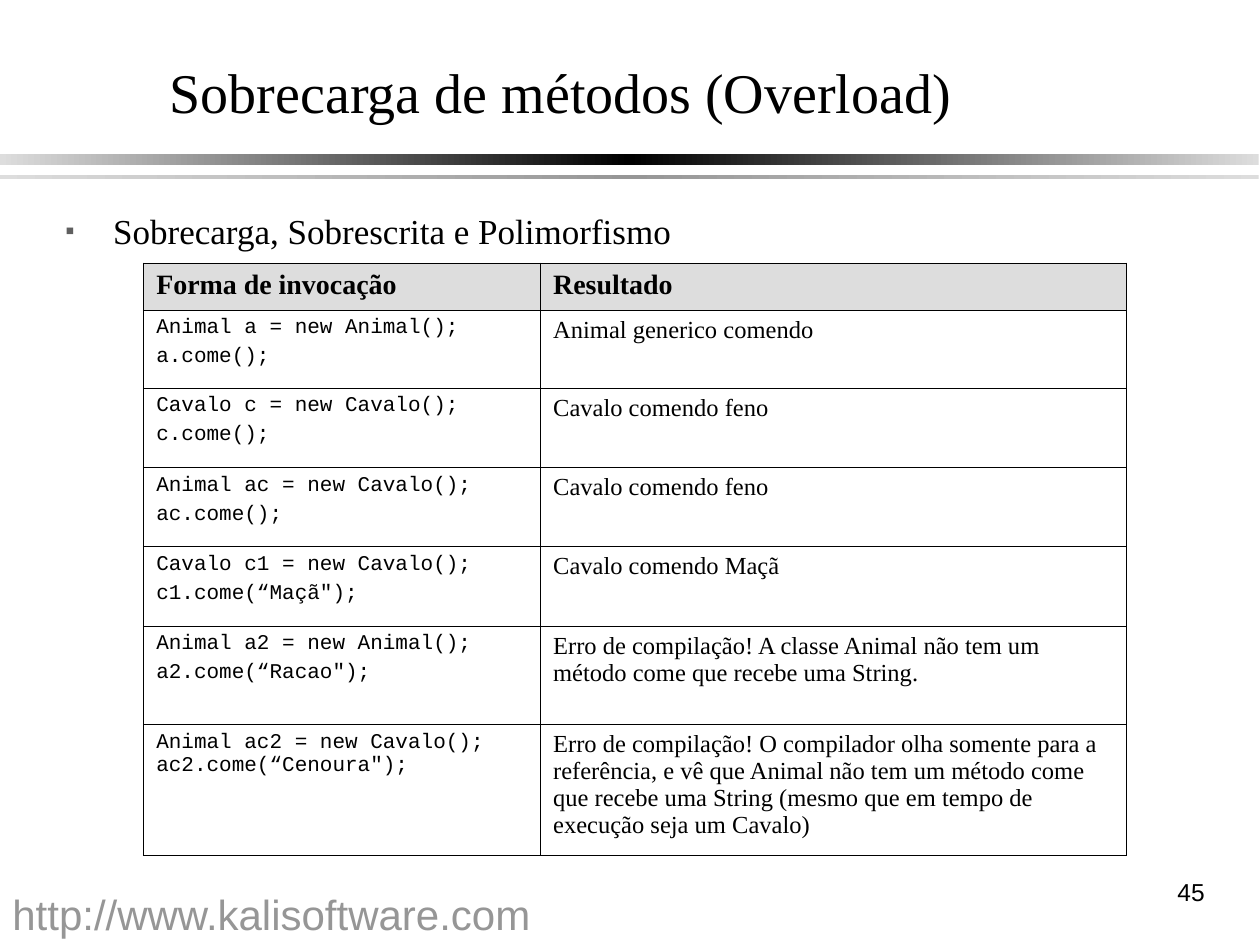
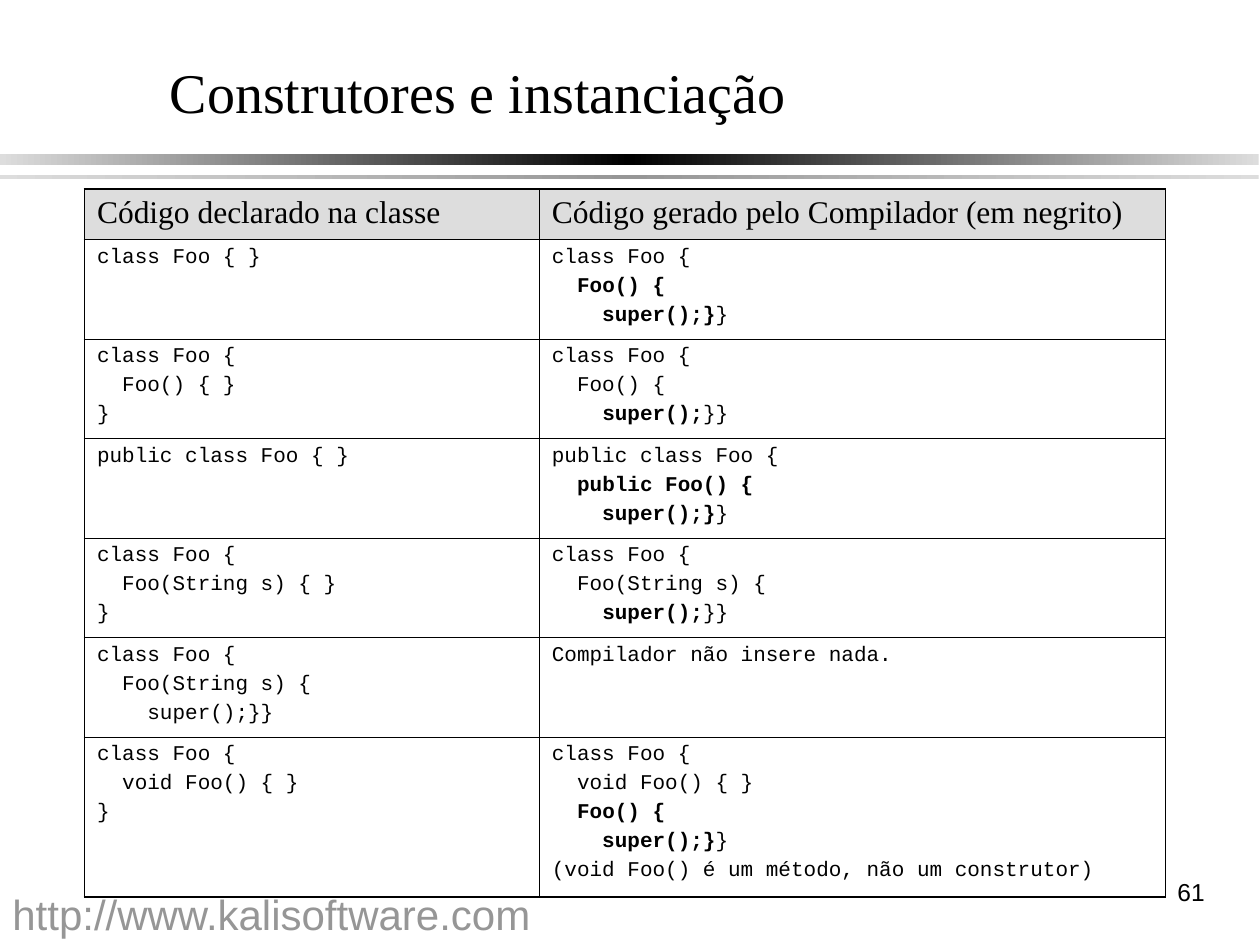
import copy
from dataclasses import dataclass

import pptx
import pptx.dml.color
import pptx.enum.shapes
import pptx.enum.text
import pptx.oxml
import pptx.oxml.ns
import pptx.util

Inches = pptx.util.Inches
Pt = pptx.util.Pt
qn = pptx.oxml.ns.qn


@dataclass(frozen=True)
class Theme:
    ink: str = "000000"
    pale: str = "DDDDDD"
    gray: str = "969696"
    bullet: str = "5F5F5F"
    serif: str = "Times New Roman"
    sans: str = "Arial"
    mono: str = "Courier New"
    title_size: float = 32
    footer_size: float = 24
    topic_size: float = 20
    number_size: float = 14
    result_size: float = 14
    code_size: float = 12
    invocation_header_size: float = 16
    constructor_header_size: float = 18
    outer_line: float = 1.08
    inner_line: float = 0.45


THEME = Theme()


@dataclass(frozen=True)
class TextStyle:
    font: str
    size: float
    color: str = THEME.ink
    bold: bool = False


TITLE = TextStyle(THEME.serif, THEME.title_size)
TOPIC = TextStyle(THEME.serif, THEME.topic_size)
FOOTER = TextStyle(THEME.sans, THEME.footer_size, THEME.gray)
NUMBER = TextStyle(THEME.sans, THEME.number_size)
CODE = TextStyle(THEME.mono, THEME.code_size)
RESULT = TextStyle(THEME.serif, THEME.result_size)
INVOCATION_HEADER = TextStyle(THEME.serif, THEME.invocation_header_size, bold=True)
CONSTRUCTOR_HEADER = TextStyle(THEME.serif, THEME.constructor_header_size)

INVOCATIONS = [
    ("Forma de invocação", "Resultado"),
    ("Animal a = new Animal();\na.come();", "Animal generico comendo"),
    ("Cavalo c = new Cavalo();\nc.come();", "Cavalo comendo feno"),
    ("Animal ac = new Cavalo();\nac.come();", "Cavalo comendo feno"),
    ('Cavalo c1 = new Cavalo();\nc1.come(“Maçã");', "Cavalo comendo Maçã"),
    ('Animal a2 = new Animal();\na2.come(“Racao");',
     "Erro de compilação! A classe Animal não tem um método come que recebe uma String."),
    ('Animal ac2 = new Cavalo(); ac2.come(“Cenoura");',
     "Erro de compilação! O compilador olha somente para a referência, e vê que Animal "
     "não tem um método come que recebe uma String (mesmo que em tempo de execução "
     "seja um Cavalo)"),
]

CONSTRUCTORS = [
    ("Código declarado na classe", "Código gerado pelo Compilador (em negrito)"),
    ("class Foo { }", "class Foo {\n  *Foo() {*\n*    super();}*}"),
    ("class Foo {\n  Foo() { }\n}", "class Foo {\n  Foo() {\n    *super();*}}"),
    ("public class Foo { }", "public class Foo {\n  *public Foo() {*\n*    super();}*}"),
    ("class Foo {\n  Foo(String s) { }\n}",
     "class Foo {\n  Foo(String s) {\n    *super();*}}"),
    ("class Foo {\n  Foo(String s) {\n    super();}}", "Compilador não insere nada."),
    ("class Foo {\n  void Foo() { }\n}",
     "class Foo {\n  void Foo() { }\n  *Foo() {*\n*    super();}*}\n"
     "(void Foo() é um método, não um construtor)"),
]


def rgb(color):
    return pptx.dml.color.RGBColor.from_string(color)


def drawing_xml(body):
    return pptx.oxml.parse_xml(f'<a:root {pptx.oxml.ns.nsdecls("a")}>{body}</a:root>')[0]


def write_text(frame, text, style, gap=3):
    for index, line in enumerate(text.split("\n")):
        para = frame.add_paragraph() if index else frame.paragraphs[0]
        if index:
            para.space_before = Pt(gap)
        for order, piece in enumerate(line.split("*")):
            if piece:
                span = para.add_run()
                span.text = piece
                span.font.name = style.font
                span.font.size = Pt(style.size)
                span.font.bold = style.bold or order % 2 == 1
                span.font.color.rgb = rgb(style.color)
    return frame.paragraphs[0]


def add_text(page, area, text, style, anchor=pptx.enum.text.MSO_ANCHOR.TOP):
    frame = page.shapes.add_textbox(*map(Inches, area)).text_frame
    frame.word_wrap = True
    frame.vertical_anchor = anchor
    return write_text(frame, text, style)


def add_band(page, area, middle):
    band = page.shapes.add_shape(pptx.enum.shapes.MSO_SHAPE.RECTANGLE, *map(Inches, area))
    band.shadow.inherit = False
    band.line.fill.background()
    band.fill.gradient()
    band.fill.gradient_angle = 180
    stop_list = next(band.element.iter(qn("a:gsLst")))
    stop_list.append(copy.deepcopy(stop_list[0]))
    colors = (THEME.pale, middle, THEME.pale)
    for index, (stop, color) in enumerate(zip(band.fill.gradient_stops, colors)):
        stop.position = index / 2
        stop.color.rgb = rgb(color)


def add_frame(page, title, number):
    middle = pptx.enum.text.MSO_ANCHOR.MIDDLE
    add_band(page, (0, 1.22, 9.99, 0.09), THEME.ink)
    add_band(page, (0, 1.39, 9.99, 0.03), THEME.gray)
    add_text(page, (0, 7, 4.61, 0.5), "http://www.kalisoftware.com", FOOTER)
    heading = add_text(page, (1.25, 0.37, 8.5, 0.71), title, TITLE, middle)
    fill = next(heading._p.iter(qn("a:solidFill")))
    fill.addnext(drawing_xml(
        '<a:effectLst><a:outerShdw dist="17961" dir="2700000">'
        f'<a:srgbClr val="{THEME.pale}"/></a:outerShdw></a:effectLst>'))
    para = add_text(page, (7.58, 6.83, 2.08, 0.5), str(number), NUMBER, middle)
    para.alignment = pptx.enum.text.PP_ALIGN.RIGHT


def add_topic(page, area, text):
    para = add_text(page, area, text, TOPIC)
    para.line_spacing = 1.1
    properties = para._p.get_or_add_pPr()
    properties.set("marL", str(Inches(0.38)))
    properties.set("indent", str(-Inches(0.38)))
    for body in (f'<a:buClr><a:srgbClr val="{THEME.bullet}"/></a:buClr>',
                 '<a:buSzPct val="75000"/>',
                 f'<a:buFont typeface="{THEME.sans}"/>',
                 '<a:buChar char="▪"/>'):
        properties.append(drawing_xml(body))


def draw_borders(cell, outer_sides):
    properties = cell._tc.get_or_add_tcPr()
    for index, side in enumerate("LRTB"):
        width = THEME.outer_line if side in outer_sides else THEME.inner_line
        properties.insert(index, drawing_xml(
            f'<a:ln{side} w="{Pt(width)}"><a:solidFill><a:srgbClr val="{THEME.ink}"/>'
            f'</a:solidFill></a:ln{side}>'))


def add_code_table(page, corner, widths, heights, rows, header, right_style):
    area = (*corner, sum(widths), sum(heights))
    table = page.shapes.add_table(len(rows), len(widths), *map(Inches, area)).table
    table.first_row = table.horz_banding = False
    for column, width in zip(table.columns, widths):
        column.width = Inches(width)
    for row, height in zip(table.rows, heights):
        row.height = Inches(height)
    for row_index, texts in enumerate(rows):
        for column_index, text in enumerate(texts):
            cell = table.cell(row_index, column_index)
            if row_index == 0:
                cell.fill.solid()
                cell.fill.fore_color.rgb = rgb(THEME.pale)
                style = header
            else:
                cell.fill.background()
                style = right_style if column_index else CODE
            write_text(cell.text_frame, text, style)
            sides = "R" if column_index else "L"
            sides += "T" if row_index == 0 else ""
            sides += "B" if row_index == len(rows) - 1 else ""
            draw_borders(cell, sides)


def build_overload(page):
    add_frame(page, "Sobrecarga de métodos (Overload)", 45)
    add_topic(page, (0.42, 1.58, 9.23, 0.75), "Sobrecarga, Sobrescrita e Polimorfismo")
    add_code_table(page, (1.14, 2.09), (3.15, 4.65), (0.37, 0.62, *[0.63] * 3, 0.78, 1.04),
                   INVOCATIONS, INVOCATION_HEADER, RESULT)


def build_constructors(page):
    add_frame(page, "Construtores e instanciação", 61)
    add_code_table(page, (0.67, 1.5), (3.61, 4.97), (0.4, *[0.79] * 5, 1.27),
                   CONSTRUCTORS, CONSTRUCTOR_HEADER, CODE)


def main():
    deck = pptx.Presentation()
    deck.slide_width = Inches(10)
    deck.slide_height = Inches(7.5)
    for build in (build_overload, build_constructors):
        build(deck.slides.add_slide(deck.slide_layouts[6]))
    deck.save("out.pptx")


if __name__ == "__main__":
    main()
